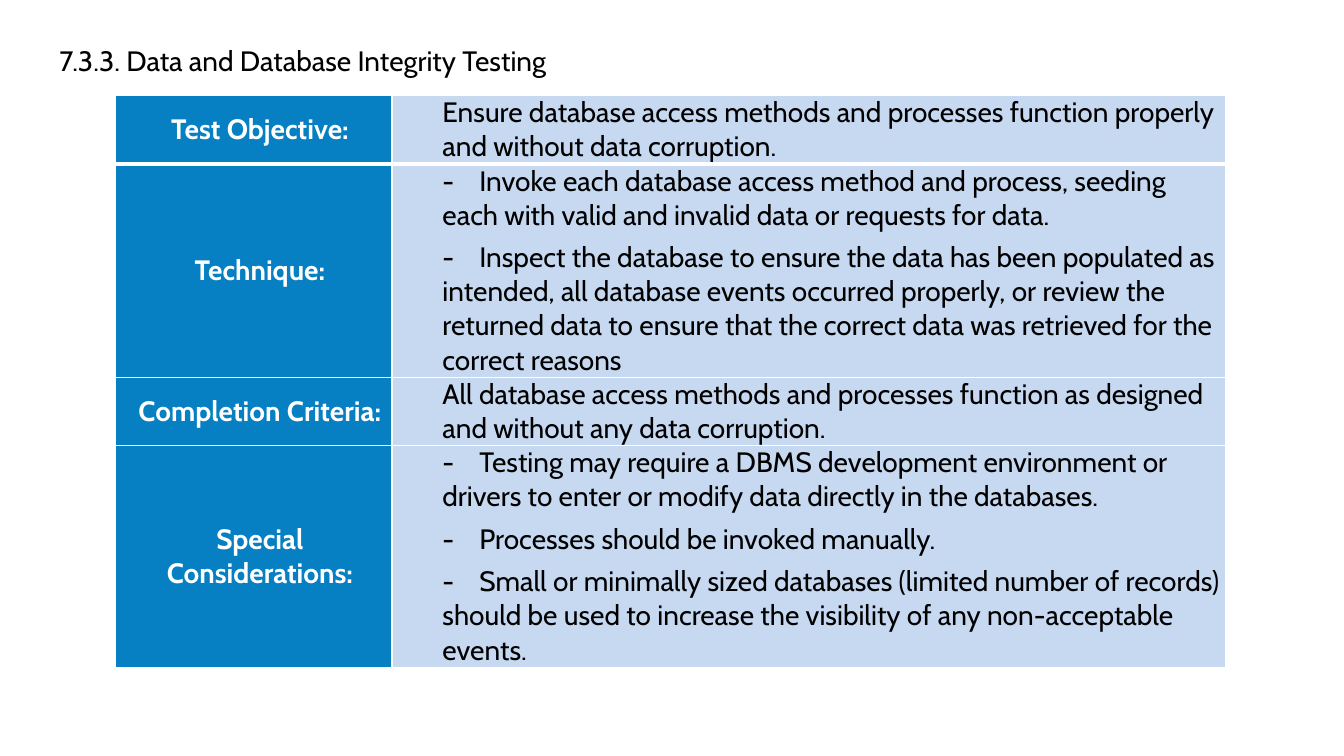
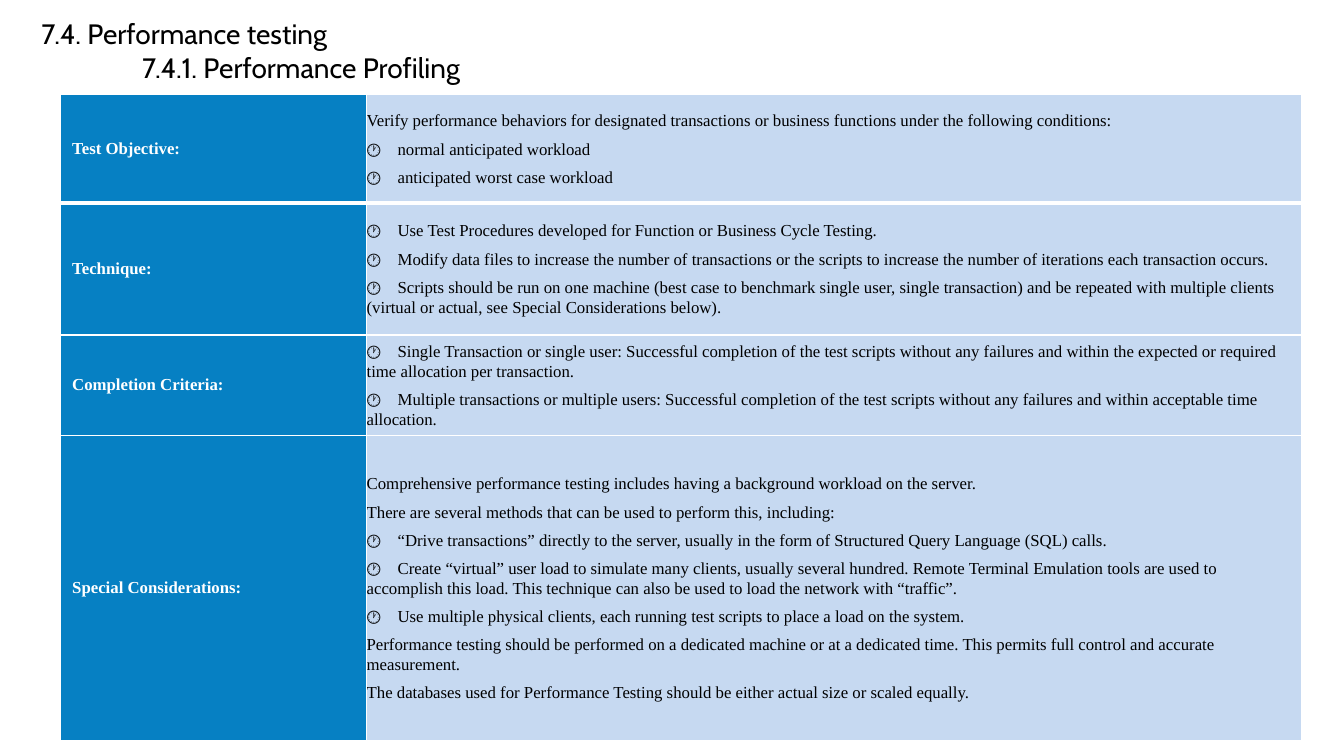
from lxml import etree
from pptx import Presentation
from pptx.dml.color import RGBColor
from pptx.enum.text import MSO_ANCHOR, MSO_AUTO_SIZE, PP_ALIGN
from pptx.oxml.ns import qn
from pptx.util import Cm, Pt

LEFT, CENTER = PP_ALIGN.LEFT, PP_ALIGN.CENTER
TOP, MIDDLE = MSO_ANCHOR.TOP, MSO_ANCHOR.MIDDLE
NO_AUTOSIZE = MSO_AUTO_SIZE.NONE
TITLE_ONLY = 5

BLUE, PALE_BLUE, WHITE, BLACK = "0680C3", "C6D9F1", "FFFFFF", "000000"
TITLE_FONT = {"name": "Cabin", "size": Pt(20), "bold": False}

# Content: titles are (text, indent in cm); body items marked True get a bullet
SLIDES = [
    {
        "title": [("7.3.3. Data and Database Integrity Testing", 0)],
        "title_box": (1.24, 0.97, 13.84, 1.4),
        "table_at": (2.92, 2.41),
        "columns": (6.96, 21),
        "rows": (1.7, 5.33, 1.7, 5.54),
        "font": {"name": "Cabin", "size": Pt(20)},
        "label_align": CENTER,
        "body_margins": (1.27, 0),
        "bullet": "-",
        "bullet_gap": 0.93,
        "line_spacing": 1.0,
        "content": [
            ("Test Objective:", [
                (False, "Ensure database access methods and processes function properly and without data corruption."),
            ]),
            ("Technique:", [
                (True, "Invoke each database access method and process, seeding each with valid and invalid data or requests for data."),
                (True, "Inspect the database to ensure the data has been populated as intended, all database events occurred properly, or review the returned data to ensure that the correct data was retrieved for the correct reasons"),
            ]),
            ("Completion Criteria:", [
                (False, "All database access methods and processes function as designed and without any data corruption."),
            ]),
            ("Special Considerations:", [
                (True, "Testing may require a DBMS development environment or drivers to enter or modify data directly in the databases."),
                (True, "Processes should be invoked manually."),
                (True, "Small or minimally sized databases (limited number of records) should be used to increase the visibility of any non-acceptable events."),
            ]),
        ],
    },
    {
        "title": [("7.4. Performance testing", 0), ("7.4.1. Performance Profiling", 2.54)],
        "title_box": (0.79, 0.3, 11.76, 2.05),
        "table_at": (1.52, 2.39),
        "columns": (7.72, 23.55),
        "rows": (2.72, 3.33, 2.54, 7.67),
        "font": {"name": "Times New Roman", "size": Pt(12)},
        "label_align": LEFT,
        "body_margins": (0, 0.2),
        "bullet": "🕐",
        "bullet_gap": 0.78,
        "line_spacing": 1.06,
        "content": [
            ("Test Objective:", [
                (False, "Verify performance behaviors for designated transactions or business functions under the following conditions:"),
                (True, "normal anticipated workload"),
                (True, "anticipated worst case workload"),
            ]),
            ("Technique:", [
                (True, "Use Test Procedures developed for Function or Business Cycle Testing."),
                (True, "Modify data files to increase the number of transactions or the scripts to increase the number of iterations each transaction occurs."),
                (True, "Scripts should be run on one machine (best case to benchmark single user, single transaction) and be repeated with multiple clients (virtual or actual, see Special Considerations below)."),
            ]),
            ("Completion Criteria:", [
                (True, "Single Transaction or single user: Successful completion of the test scripts without any failures and within the expected or required time allocation per transaction."),
                (True, "Multiple transactions or multiple users: Successful completion of the test scripts without any failures and within acceptable time allocation."),
            ]),
            ("Special Considerations:", [
                (False, "Comprehensive performance testing includes having a background workload on the server."),
                (False, "There are several methods that can be used to perform this, including:"),
                (True, "“Drive transactions” directly to the server, usually in the form of Structured Query Language (SQL) calls."),
                (True, "Create “virtual” user load to simulate many clients, usually several hundred. Remote Terminal Emulation tools are used to accomplish this load. This technique can also be used to load the network with “traffic”."),
                (True, "Use multiple physical clients, each running test scripts to place a load on the system."),
                (False, "Performance testing should be performed on a dedicated machine or at a dedicated time. This permits full control and accurate measurement."),
                (False, "The databases used for Performance Testing should be either actual size or scaled equally."),
            ]),
        ],
    },
]


def color(value):
    return RGBColor.from_string(value)


def set_all(target, values):
    for name, value in values.items():
        setattr(target, name, value)


def add_para(frame, index, text, font, fill, layout):
    para = frame.paragraphs[0] if index == 0 else frame.add_paragraph()
    set_all(para, layout)
    span = para.add_run()
    span.text = text
    set_all(span.font, font)
    span.font.color.rgb = color(fill)
    return para


def add_tab(para, position):
    tabs = etree.SubElement(para._p.get_or_add_pPr(), qn("a:tabLst"))
    etree.SubElement(tabs, qn("a:tab"), pos=str(Cm(position)), algn="l")


def set_borders(cell, row):
    # The line below the first row is thicker
    widths = {"L": 1, "R": 1, "T": 3 if row == 1 else 1, "B": 3 if row == 0 else 1}
    properties = cell._tc.get_or_add_tcPr()
    for side, width in widths.items():
        line = etree.SubElement(properties, qn(f"a:ln{side}"), w=str(Pt(width)))
        fill = etree.SubElement(line, qn("a:solidFill"))
        etree.SubElement(fill, qn("a:srgbClr"), val=WHITE)


def style_cell(cell, row, fill, left, right):
    set_all(cell, {"margin_left": Cm(left), "margin_right": Cm(right),
                   "margin_top": 0, "margin_bottom": 0, "vertical_anchor": MIDDLE})
    set_borders(cell, row)
    cell.fill.solid()
    cell.fill.fore_color.rgb = color(fill)


def add_title(page, data):
    box = page.shapes.title
    names = ("left", "top", "width", "height")
    set_all(box, dict(zip(names, map(Cm, data["title_box"]))))
    frame = box.text_frame
    set_all(frame, {"word_wrap": True, "auto_size": NO_AUTOSIZE, "vertical_anchor": TOP})
    for index, (text, indent) in enumerate(data["title"]):
        para = add_para(frame, index, text, TITLE_FONT, BLACK, {"alignment": LEFT})
        if indent:
            para._p.get_or_add_pPr().set("marL", str(Cm(indent)))


def add_test_table(page, data):
    columns, rows = data["columns"], data["rows"]
    table = page.shapes.add_table(
        len(rows), len(columns), *map(Cm, data["table_at"]), Cm(sum(columns)), Cm(sum(rows))
    ).table
    set_all(table, {"first_row": False, "horz_banding": False})
    for column, width in zip(table.columns, columns):
        column.width = Cm(width)
    for row, height in zip(table.rows, rows):
        row.height = Cm(height)

    for row, (label, items) in enumerate(data["content"]):
        # Label cell
        cell = table.cell(row, 0)
        style_cell(cell, row, BLUE, 0.3, 0)
        add_para(cell.text_frame, 0, label, {**data["font"], "bold": True}, WHITE,
                 {"alignment": data["label_align"]})
        # Description cell
        cell = table.cell(row, 1)
        style_cell(cell, row, PALE_BLUE, *data["body_margins"])
        for index, (bulleted, text) in enumerate(items):
            layout = {"line_spacing": data["line_spacing"], "space_before": Pt(6 if index else 0)}
            line = f"{data['bullet']}\t{text}" if bulleted else text
            para = add_para(cell.text_frame, index, line, {**data["font"], "bold": False},
                            BLACK, layout)
            if bulleted:
                add_tab(para, data["bullet_gap"])


def main():
    deck = Presentation()
    deck.slide_width, deck.slide_height = Cm(33.87), Cm(19.05)
    for data in SLIDES:
        page = deck.slides.add_slide(deck.slide_layouts[TITLE_ONLY])
        add_title(page, data)
        add_test_table(page, data)
    deck.save("out.pptx")


if __name__ == "__main__":
    main()
